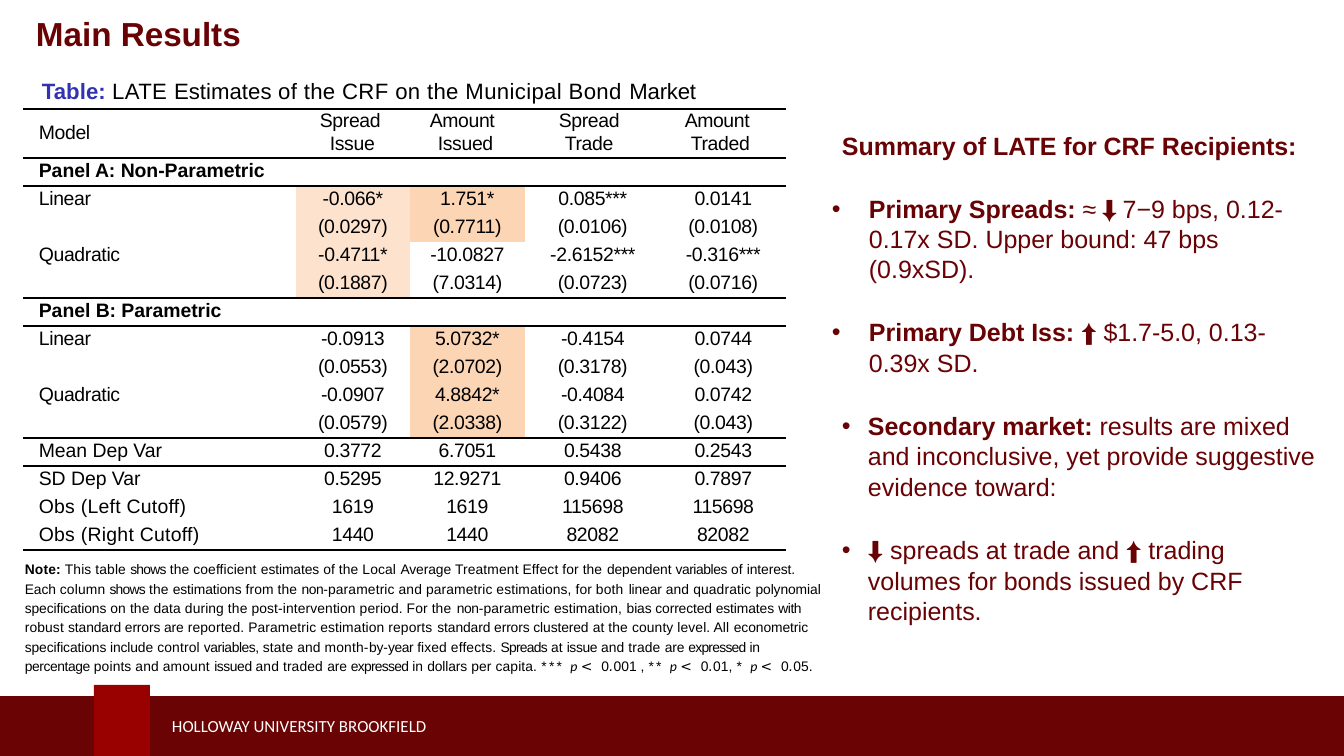
from lxml import etree
from pptx import Presentation
from pptx.dml.color import RGBColor
from pptx.enum.shapes import MSO_SHAPE
from pptx.enum.text import MSO_ANCHOR, MSO_AUTO_SIZE, PP_ALIGN
from pptx.oxml.ns import qn
from pptx.util import Emu, Pt

RECTANGLE = MSO_SHAPE.RECTANGLE
TOP, MIDDLE = MSO_ANCHOR.TOP, MSO_ANCHOR.MIDDLE
CENTER = PP_ALIGN.CENTER
GROW = MSO_AUTO_SIZE.SHAPE_TO_FIT_TEXT
EMU_PER_PX = 4578
PLAIN_TABLE = "{2D5ABB26-0587-4C30-8999-92F81FD0307C}"
CRIMSON, RED, MAROON = "690304", "990000", "690204"
BLACK, WHITE, BLUE = "000000", "FFFFFF", "3333B2"
PEACH, PALE_PEACH = "FCD5B5", "FDE3CE"


def px(value):
    return Emu(value * EMU_PER_PX)


def color(value):
    return RGBColor.from_string(value)


class SlideBuilder:
    def __init__(self, presentation, font="Arial"):
        self.font = font
        self.slide = presentation.slides.add_slide(presentation.slide_layouts[6])

    def rectangle(self, box, fill):
        shape = self.slide.shapes.add_shape(RECTANGLE, *map(px, box))
        shape.shadow.inherit = False
        shape.fill.solid()
        shape.fill.fore_color.rgb = color(fill)
        shape.line.fill.background()

    def run(self, paragraph, text, size, ink=BLACK, bold=False, italic=False,
            spacing=0, font=None):
        run = paragraph.add_run()
        run.text = text
        run.font.name = font or self.font
        run.font.size = Pt(size)
        run.font.bold, run.font.italic = bold, italic
        run.font.color.rgb = color(ink)
        if spacing:
            run._r.get_or_add_rPr().set("spc", str(round(spacing * 100)))

    def layout(self, paragraph, indent=0, hanging=0, line=None, before=0, after=0,
               bullet=False):
        properties = paragraph._p.get_or_add_pPr()
        properties.set("marL", str(px(indent)))
        properties.set("indent", str(px(-hanging)))
        paragraph.space_before, paragraph.space_after = Pt(before), Pt(after)
        if line:
            paragraph.line_spacing = line
        if bullet:
            etree.SubElement(properties, qn("a:buFont"), typeface=self.font)
            etree.SubElement(properties, qn("a:buChar"), char="•")

    def text(self, box, paragraphs, inset=(0, 2, 0, 0), anchor=TOP, **base):
        frame = self.slide.shapes.add_textbox(*map(px, box)).text_frame
        frame.word_wrap, frame.auto_size = True, GROW
        frame.vertical_anchor = anchor
        (frame.margin_left, frame.margin_top,
         frame.margin_right, frame.margin_bottom) = map(px, inset)
        for index, (layout, runs) in enumerate(paragraphs):
            paragraph = frame.add_paragraph() if index else frame.paragraphs[0]
            self.layout(paragraph, **layout)
            for text, style in runs:
                self.run(paragraph, text, **{**base, **style})

    def table(self, left, top, widths, heights):
        frame = self.slide.shapes.add_table(len(heights), len(widths), px(left), px(top),
                                            px(sum(widths)), px(sum(heights)))
        table = frame.table
        table.first_row = table.horz_banding = False
        table._tbl.tblPr.find(qn("a:tableStyleId")).text = PLAIN_TABLE
        for column, width in zip(table.columns, widths):
            column.width = px(width)
        for row, height in zip(table.rows, heights):
            row.height = px(height)
        return table

    def border(self, cell, side, visible):
        line = etree.SubElement(cell._tc.get_or_add_tcPr(), qn(f"a:ln{side}"), w="6350")
        if visible:
            fill = etree.SubElement(line, qn("a:solidFill"))
            etree.SubElement(fill, qn("a:srgbClr"), val=BLACK)
        else:
            etree.SubElement(line, qn("a:noFill"))

    def cell(self, cell, lines, ruled, fill=None, align=None, **style):
        """Each line is (text, indent, line spacing); ruled is (top, bottom)."""
        for side, visible in zip("LRTB", (False, False, *ruled)):
            self.border(cell, side, visible)
        if fill:
            cell.fill.solid()
            cell.fill.fore_color.rgb = color(fill)
        else:
            cell.fill.background()
        cell.margin_left = cell.margin_right = cell.margin_top = cell.margin_bottom = 0
        cell.vertical_anchor = MIDDLE
        for index, (text, indent, line) in enumerate(lines):
            frame = cell.text_frame
            paragraph = frame.add_paragraph() if index else frame.paragraphs[0]
            self.layout(paragraph, indent, line=Pt(line))
            paragraph.alignment = align
            if text:
                self.run(paragraph, text, 7, **style)
            else:
                etree.SubElement(paragraph._p, qn("a:endParaRPr"), sz="700")


HEADERS = [("Spread", 24, "Issue", 34), ("Amount", 20, "Issued", 28),
           ("Spread", 34, "Trade", 40), ("Amount", 24, "Traded", 30)]
ROWS = [
    ("Panel A: Non-Parametric", "", "", "", ""),
    ("Linear", "-0.066*", "1.751*", "0.085***", "0.0141"),
    ("", "(0.0297)", "(0.7711)", "(0.0106)", "(0.0108)"),
    ("Quadratic", "-0.4711*", "-10.0827", "-2.6152***", "-0.316***"),
    ("", "(0.1887)", "(7.0314)", "(0.0723)", "(0.0716)"),
    ("Panel B: Parametric", "", "", "", ""),
    ("Linear", "-0.0913", "5.0732*", "-0.4154", "0.0744"),
    ("", "(0.0553)", "(2.0702)", "(0.3178)", "(0.043)"),
    ("Quadratic", "-0.0907", "4.8842*", "-0.4084", "0.0742"),
    ("", "(0.0579)", "(2.0338)", "(0.3122)", "(0.043)"),
    ("Mean Dep Var", "0.3772", "6.7051", "0.5438", "0.2543"),
    ("SD Dep Var", "0.5295", "12.9271", "0.9406", "0.7897"),
    ("Obs (Left Cutoff)", "1619", "1619", "115698", "115698"),
    ("Obs (Right Cutoff)", "1440", "1440", "82082", "82082"),
]
LABEL_SPACING = {"Panel": 0, "Mean": 0, "SD": 0, "Obs": .1}
RULED_EDGES = {0, 1, 2, 6, 7, 11, 12, 15}
HIGHLIGHTS = {**{(row, 1): PALE_PEACH for row in range(2, 6)},
              **{(row, 2): PEACH for row in (2, 3, 7, 8, 9, 10)}}
NOTE_TRACKING = .03
NOTE = [
    ("This table ", 0), ("shows ", -.3), ("the coefficient ", 0), ("estimates ", -.1),
    ("of the Local ", 0), ("Average ", -.1), ("Treatment Effect for the ", 0),
    ("dependent ", -.1), ("variables ", -.2), ("of ", 0), ("interest. Each ", -.1),
    ("column ", 0), ("shows ", -.3), ("the ", 0), ("estimations ", -.1), ("from the ", 0),
    ("non-", -.2), ("parametric and parametric estimations, for both ", 0),
    ("linear ", -.1), ("and quadratic ", 0), ("polynomial specifications ", -.1),
    ("on the data during the post-intervention period. For the ", 0), ("non-", -.2),
    ("parametric estimation, ", 0), ("bias corrected estimates ", -.1), ("with ", -.2),
    ("robust ", 0), ("standard errors are ", -.1),
    ("reported. Parametric estimation reports ", 0), ("standard errors clustered ", -.1),
    ("at the county level. All ", 0), ("econometric specifications include ", -.1),
    ("control ", 0), ("variables, ", -.2), ("state and month-", 0), ("by-", -.1),
    ("year ", -.2), ("fixed effects. ", 0), ("Spreads ", -.3), ("at ", 0),
    ("issue ", -.2), ("and trade ", 0), ("are ", -.1), ("expressed ", -.3),
    ("in percentage ", -.2), ("points and amount ", 0), ("issued ", -.2),
    ("and traded ", 0), ("are ", -.1), ("expressed ", -.3), ("in ", 0),
    ("dollars ", -.1), ("per capita. ", 0),
]
SIGNIFICANCE = [("*** ", "001 , "), ("** ", "01, "), ("* ", "05.")]


def main():
    presentation = Presentation()
    presentation.slide_width, presentation.slide_height = px(1344), px(756)
    builder = SlideBuilder(presentation)

    # Footer
    builder.rectangle((0, 696, 1344, 60), CRIMSON)
    builder.rectangle((94, 685, 56, 71), RED)
    builder.text((152, 706, 532, 40), [({}, [("HOLLOWAY UNIVERSITY BROOKFIELD", {})])],
                 inset=(20, 10, 20, 10), anchor=MIDDLE, size=6.1, ink=WHITE, font="Calibri")

    # Table caption
    builder.text((40, 75, 664, 30), [(dict(indent=2, before=0.9), [
        ("Table: ", dict(ink=BLUE, bold=True)), ("LATE ", dict(spacing=.1)),
        ("Estimates ", {}), ("of the CRF on the Municipal Bond ", dict(spacing=.1)),
        ("Market", dict(spacing=-.1))])], size=8)

    # Estimates table
    table = builder.table(23, 109, [273, 114, 115, 136, 125], [49] + [28] * len(ROWS))
    header_ruled = (True, True)
    builder.cell(table.cell(0, 0), [("Model", 16, 7.2)], header_ruled, spacing=-.1)
    for column, (upper, upper_indent, lower, lower_indent) in enumerate(HEADERS, 1):
        lines = [(upper, upper_indent, 7), (lower, lower_indent, 8.2)]
        builder.cell(table.cell(0, column), lines, header_ruled, spacing=-.1)
    for row, (label, *values) in enumerate(ROWS, 1):
        ruled = (row in RULED_EDGES, row + 1 in RULED_EDGES)
        builder.cell(table.cell(row, 0), [(label, 16, 7)], ruled,
                     bold=label.startswith("Panel"),
                     spacing=LABEL_SPACING.get(label.split(" ")[0], -.1))
        for column, value in enumerate(values, 1):
            builder.cell(table.cell(row, column), [(value, 0, 7)], ruled,
                         fill=HIGHLIGHTS.get((row, column)), align=CENTER, spacing=-.1)

    # Table note
    note = [("Note: ", dict(bold=True, spacing=NOTE_TRACKING))]
    note += [(text, dict(spacing=spacing + NOTE_TRACKING)) for text, spacing in NOTE]
    for stars, digits in SIGNIFICANCE:
        note += [(stars, dict(spacing=.8)), ("p ", dict(font="Calibri", italic=True)),
                 ("< ", dict(font="DejaVu Sans", italic=True, spacing=.8)), ("0", {}),
                 (".", dict(font="DejaVu Sans", italic=True)), (digits, {})]
    builder.text((23, 554, 798, 120), [(dict(indent=2, line=Pt(7), before=1.4), note)],
                 inset=(0, 4, 0, 0), size=5)

    # Title
    builder.text((4, 3, 1306, 60), [(dict(indent=12, before=0.9), [("Main Results", {})])],
                 inset=(20, 10, 20, 10), size=12, ink=MAROON, bold=True)

    # Summary
    spaced = dict(before=6, after=6)
    wide = dict(indent=37, hanging=37, bullet=True, **spaced)
    narrow = dict(indent=36, hanging=26, line=1.01, bullet=True, **spaced)
    strong, arrow = dict(bold=True), dict(spacing=-.5)
    strong_arrow = {**strong, **arrow}
    builder.text((832, 128, 489, 502), [
        (dict(indent=10, line=1.01, **spaced),
         [("Summary of LATE for CRF Recipients:", strong)]),
        (wide, [("Primary Spreads: ", strong), ("≈", {}), (" ⬇️ ", arrow),
                ("7−9 bps, 0.12-0.17x SD. Upper bound: 47 bps (0.9xSD).", {})]),
        (wide, [("Primary Debt Iss: ", strong), ("⬆️", strong_arrow),
                (" $1.7-5.0, 0.13-0.39x SD.", {})]),
        (narrow, [("Secondary market: ", strong),
                  ("results are mixed and inconclusive, yet provide suggestive "
                   "evidence toward:", {})]),
        (narrow, [("⬇️", arrow), (" spreads at trade and ", {}), ("⬆️", strong_arrow),
                  (" trading volumes for bonds issued by CRF recipients.", {})]),
    ], size=9, ink=MAROON)

    presentation.save("out.pptx")


if __name__ == "__main__":
    main()
